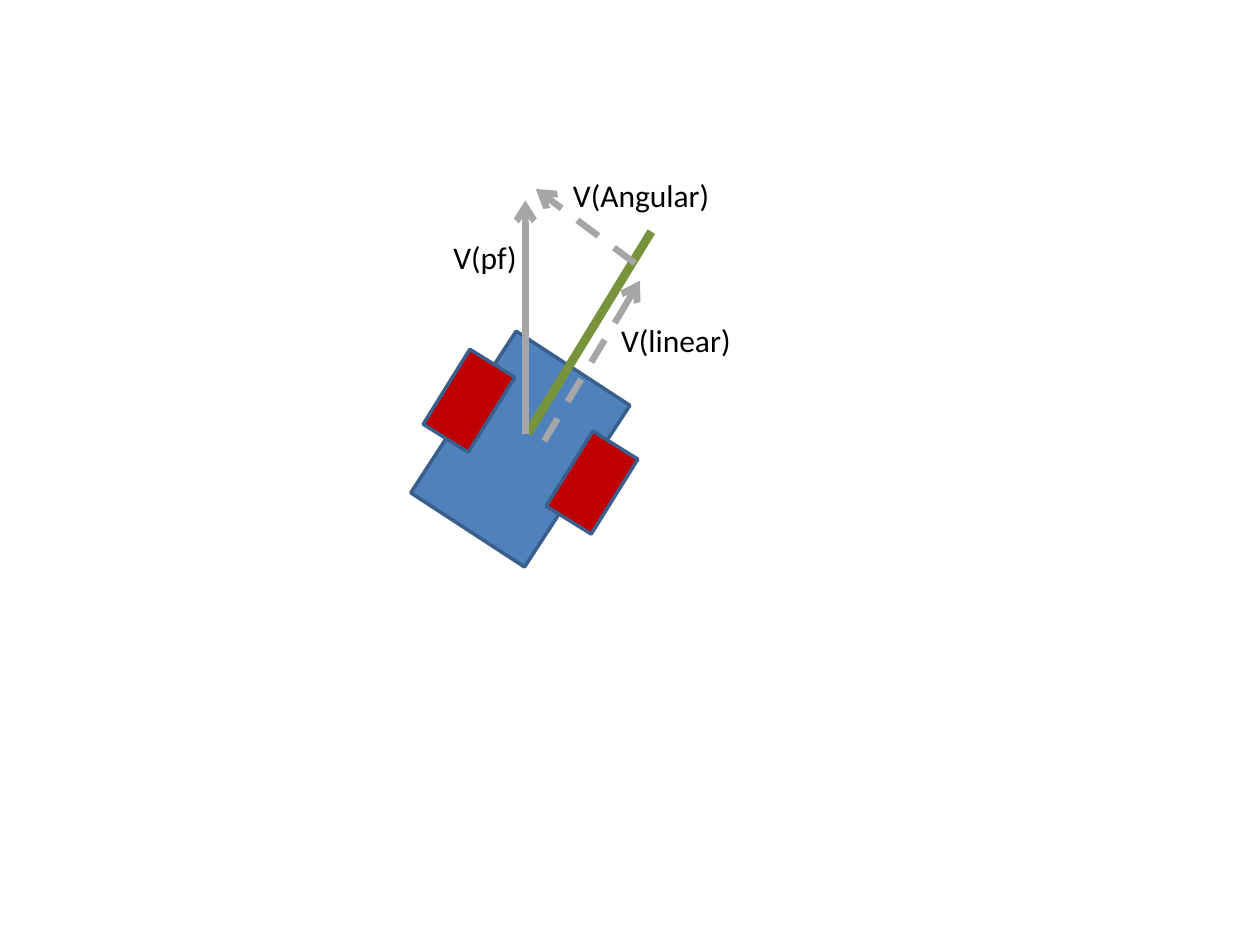
from pptx import Presentation
from pptx.dml.color import RGBColor
from pptx.enum.dml import MSO_LINE
from pptx.enum.shapes import MSO_CONNECTOR, MSO_SHAPE
from pptx.enum.text import MSO_AUTO_SIZE
from pptx.oxml.ns import qn
from pptx.util import Cm, Pt
from lxml.etree import SubElement


def color(hex_text):
    return RGBColor.from_string(hex_text)


def add_label(text, left, top, width, height=1.02, size=18, font="Calibri", ink="000000"):
    box = slide.shapes.add_textbox(Cm(left), Cm(top), Cm(width), Cm(height))
    box.text_frame.word_wrap = False
    box.text_frame.auto_size = MSO_AUTO_SIZE.SHAPE_TO_FIT_TEXT
    run = box.text_frame.paragraphs[0].add_run()
    run.text = text
    run.font.size = Pt(size)
    run.font.name = font
    run.font.color.rgb = color(ink)


deck = Presentation()
deck.slide_width, deck.slide_height = Cm(25.4), Cm(19.05)
slide = deck.slides.add_slide(deck.slide_layouts[6])

# Robot body and its two wheels: left, top, width, height, rotation, fill
robot = [
    (9.12, 7.11, 2.74, 3.89, 33.1, "4F81BD"),
    (8.92, 7.19, 1.07, 1.78, 31.9, "C00000"),
    (11.4, 8.84, 1.07, 1.78, 31.9, "C00000"),
]
for left, top, width, height, rotation, fill in robot:
    part = slide.shapes.add_shape(
        MSO_SHAPE.RECTANGLE, Cm(left), Cm(top), Cm(width), Cm(height))
    part.rotation = rotation
    part.shadow.inherit = False
    part.fill.solid()
    part.fill.fore_color.rgb = color(fill)
    part.line.color.rgb = color("3A5F8C")
    part.line.width = Pt(2)

# Heading line and velocity arrows: start, end, colour, width, dashed, arrow
vectors = [
    ((10.64, 8.74), (13.13, 4.67), "77933C", 5, False, False),
    ((10.59, 8.74), (10.59, 4.04), "A6A6A6", 3.75, False, True),
    ((12.8, 5.31), (10.8, 3.81), "A6A6A6", 3.75, True, True),
    ((10.97, 8.89), (12.9, 5.66), "A6A6A6", 3.75, True, True),
]
for start, end, stroke, weight, dashed, arrow in vectors:
    vector = slide.shapes.add_connector(
        MSO_CONNECTOR.STRAIGHT, *[Cm(value) for value in start + end])
    vector.line.color.rgb = color(stroke)
    vector.line.width = Pt(weight)
    if dashed:
        vector.line.dash_style = MSO_LINE.DASH
    properties = vector.element.spPr
    if arrow:
        SubElement(properties.find(qn("a:ln")), qn("a:tailEnd"), type="arrow")
    SubElement(properties, qn("a:effectLst"))

# Velocity labels
add_label("V(pf)", 8.89, 4.67, 1.8)
add_label("V(linear)", 12.27, 6.35, 2.74)
add_label("V(Angular)", 11.3, 3.43, 3.3)

deck.save("out.pptx")
